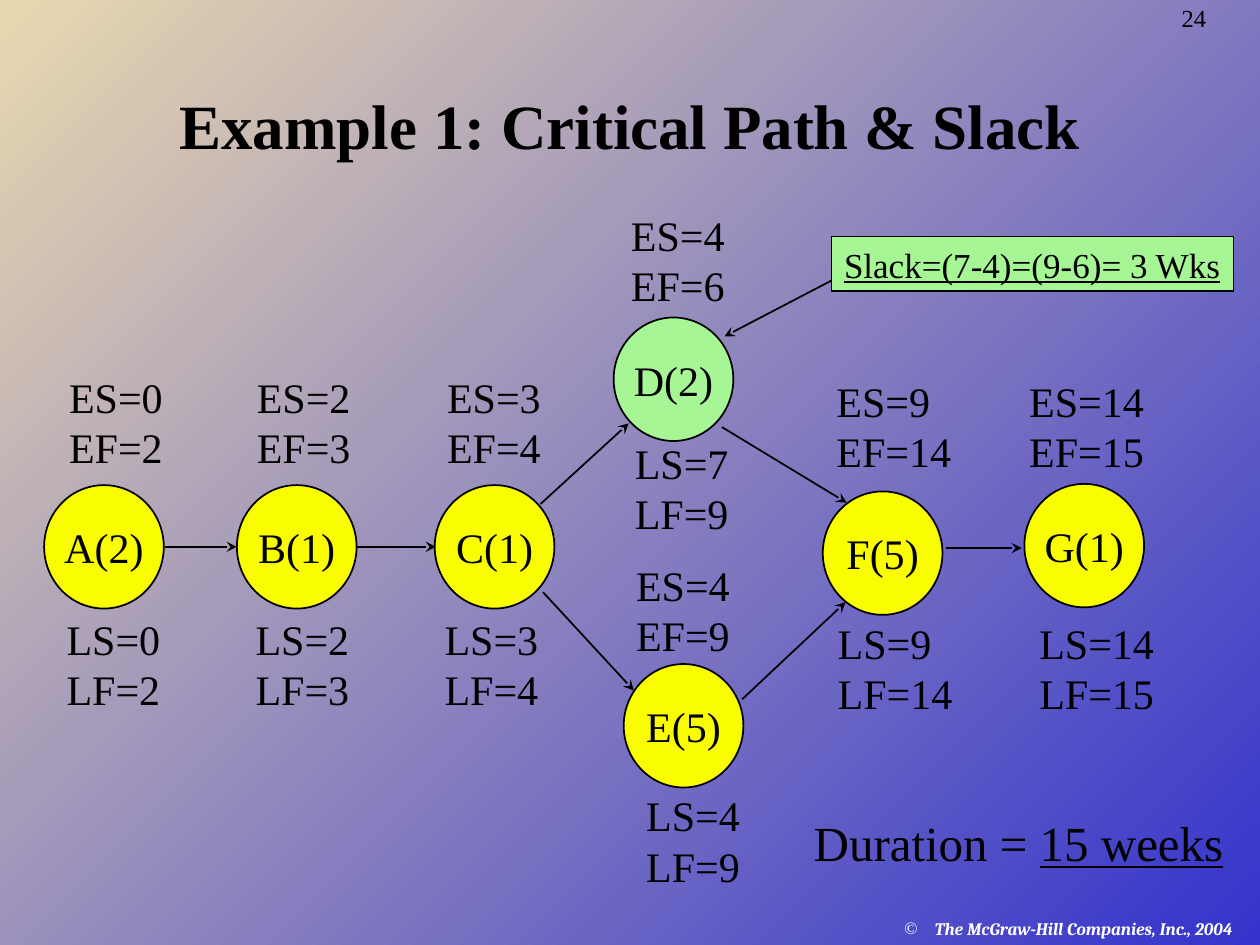
from pptx import Presentation
from pptx.dml.color import RGBColor
from pptx.enum.shapes import MSO_CONNECTOR, MSO_SHAPE
from pptx.enum.text import MSO_ANCHOR, PP_ALIGN
from pptx.oxml.ns import qn
from pptx.util import Inches, Pt
from lxml import etree

STRAIGHT = MSO_CONNECTOR.STRAIGHT
OVAL, RECTANGLE = MSO_SHAPE.OVAL, MSO_SHAPE.RECTANGLE
TOP, MIDDLE, BOTTOM = MSO_ANCHOR.TOP, MSO_ANCHOR.MIDDLE, MSO_ANCHOR.BOTTOM
LEFT, CENTER = PP_ALIGN.LEFT, PP_ALIGN.CENTER

BLACK = RGBColor(0x00, 0x00, 0x00)
WHITE = RGBColor(0xFF, 0xFF, 0xFF)
YELLOW = RGBColor(0xFA, 0xFD, 0x00)
GREEN = RGBColor(0xA6, 0xF6, 0x95)
BLUE = RGBColor(0x33, 0x33, 0xCC)
SAND = RGBColor(0xE9, 0xD8, 0xAF)

NODE_WIDTH, NODE_HEIGHT = 0.95, 0.98
LABEL_HEIGHT = 0.9

# name, fill, node corner, early label corner, (ES, EF), late label corner, (LS, LF)
ACTIVITIES = [
    ("A(2)", YELLOW, (0.35, 3.85), (0.45, 2.9), (0, 2), (0.43, 4.82), (0, 2)),
    ("B(1)", YELLOW, (1.88, 3.85), (1.94, 2.9), (2, 3), (1.93, 4.82), (2, 3)),
    ("C(1)", YELLOW, (3.45, 3.85), (3.45, 2.9), (3, 4), (3.43, 4.82), (3, 4)),
    ("D(2)", GREEN, (4.87, 2.52), (4.91, 1.61), (4, 6), (4.94, 3.42), (7, 9)),
    ("E(5)", YELLOW, (4.95, 5.27), (4.95, 4.39), (4, 9), (5.03, 6.22), (4, 9)),
    ("F(5)", YELLOW, (6.53, 3.9), (6.54, 2.93), (9, 14), (6.55, 4.85), (9, 14)),
    ("G(1)", YELLOW, (8.13, 3.84), (8.07, 2.93), (14, 15), (8.15, 4.85), (14, 15)),
]

ARROWS = [
    ((1.31, 4.34), (1.88, 4.34)),
    ((2.81, 4.34), (3.46, 4.34)),
    ((4.29, 4), (4.99, 3.36)),
    ((4.31, 4.7), (5.03, 5.48)),
    ((5.73, 3.39), (6.72, 3.99)),
    ((5.89, 5.55), (6.71, 4.78)),
    ((7.51, 4.35), (8.11, 4.35)),
    ((6.67, 2.19), (5.75, 2.67)),
]


class NetworkSlide:
    base_font = {"name": "Times New Roman", "size": Pt(24), "bold": False, "italic": False}

    def __init__(self, slide):
        self.slide = slide

    def background(self, start, end, angle):
        fill = self.slide.background.fill
        fill.gradient()
        fill.gradient_angle = angle
        for stop, color in zip(fill.gradient_stops, (start, end)):
            stop.color.rgb = color

    def set_text(self, shape, lines, anchor=TOP, align=LEFT, color=BLACK, wrap=False, **font):
        frame = shape.text_frame
        frame.word_wrap = wrap
        frame.vertical_anchor = anchor
        for index, runs in enumerate(lines):
            paragraph = frame.add_paragraph() if index else frame.paragraphs[0]
            paragraph.alignment = align
            for text, changes in runs:
                run = paragraph.add_run()
                run.text = text
                for key, value in {**self.base_font, **font, **changes}.items():
                    setattr(run.font, key, value)
                run.font.color.rgb = color
        return frame

    def title(self, text, left, top, width, height):
        shape = self.slide.shapes.title
        place = {"left": left, "top": top, "width": width, "height": height}
        for key, value in place.items():
            setattr(shape, key, Inches(value))
        self.set_text(shape, [[(text, {})]], BOTTOM, CENTER, wrap=True, size=Pt(36), bold=True)

    def text(self, lines, left, top, width, height, **style):
        shape = self.slide.shapes.add_textbox(
            Inches(left), Inches(top), Inches(width), Inches(height))
        return self.set_text(shape, lines, **style)

    def box(self, kind, text, left, top, width, height, fill, line_width, **style):
        shape = self.slide.shapes.add_shape(
            kind, Inches(left), Inches(top), Inches(width), Inches(height))
        shape.shadow.inherit = False
        shape.fill.solid()
        shape.fill.fore_color.rgb = fill
        shape.line.color.rgb = BLACK
        shape.line.width = Pt(line_width)
        self.set_text(shape, [[(text, {})]], **style)

    def arrow(self, start, end):
        connector = self.slide.shapes.add_connector(
            STRAIGHT, *(Inches(value) for value in (*start, *end)))
        connector.line.color.rgb = BLACK
        connector.line.width = Pt(1)
        properties = connector._element.spPr
        etree.SubElement(properties.find(qn("a:ln")), qn("a:tailEnd"), type="stealth")
        etree.SubElement(properties, qn("a:effectLst"))

    def times(self, prefix, corner, values):
        lines = [[(f"{prefix}{letter}={value}", {})] for letter, value in zip("SF", values)]
        width = 1.11 if max(values) > 9 else 0.94
        self.text(lines, *corner, width, LABEL_HEIGHT)

    def credit(self, text, left, top, width, height):
        frame = self.text([[(text, {})]], left, top, width, height, color=WHITE, wrap=True,
                          name="Cambria", size=Pt(10), bold=True, italic=True)
        properties = frame.paragraphs[0]._p.get_or_add_pPr()
        properties.set("marL", str(Inches(0.24)))
        properties.set("indent", str(-Inches(0.24)))
        bullet_color = etree.SubElement(properties, qn("a:buClr"))
        etree.SubElement(bullet_color, qn("a:srgbClr"), val=str(WHITE))
        etree.SubElement(properties, qn("a:buFont"), typeface="Times New Roman")
        etree.SubElement(properties, qn("a:buChar"), char="©")


def main():
    presentation = Presentation()
    presentation.slide_width, presentation.slide_height = Inches(10), Inches(7.5)
    network = NetworkSlide(presentation.slides.add_slide(presentation.slide_layouts[5]))
    network.background(BLUE, SAND, 135)
    network.credit("The McGraw-Hill Companies, Inc., 2004", 7.08, 7.24, 2.92, 0.43)
    number = network.text([[("24", {})]], 9.28, 0, 0.4, 0.31, size=Pt(14))
    number.paragraphs[0].line_spacing = 0.9
    network.title("Example 1: Critical Path & Slack", 0.75, 0.67, 8.5, 0.67)

    for start, end in ARROWS:
        network.arrow(start, end)
    for name, fill, corner, early_corner, early, late_corner, late in ACTIVITIES:
        network.box(OVAL, name, *corner, NODE_WIDTH, NODE_HEIGHT, fill, 1,
                    anchor=MIDDLE, align=CENTER)
        network.times("E", early_corner, early)
        network.times("L", late_corner, late)

    network.box(RECTANGLE, "Slack=(7-4)=(9-6)= 3 Wks", 6.6, 1.88, 3.19, 0.43, GREEN, 0.75,
                size=Pt(20), underline=True)
    network.text([[("Duration = ", {}), ("15 weeks", {"underline": True})]],
                 6.36, 6.4, 3.45, 0.56, size=Pt(28))
    presentation.save("out.pptx")


if __name__ == "__main__":
    main()
